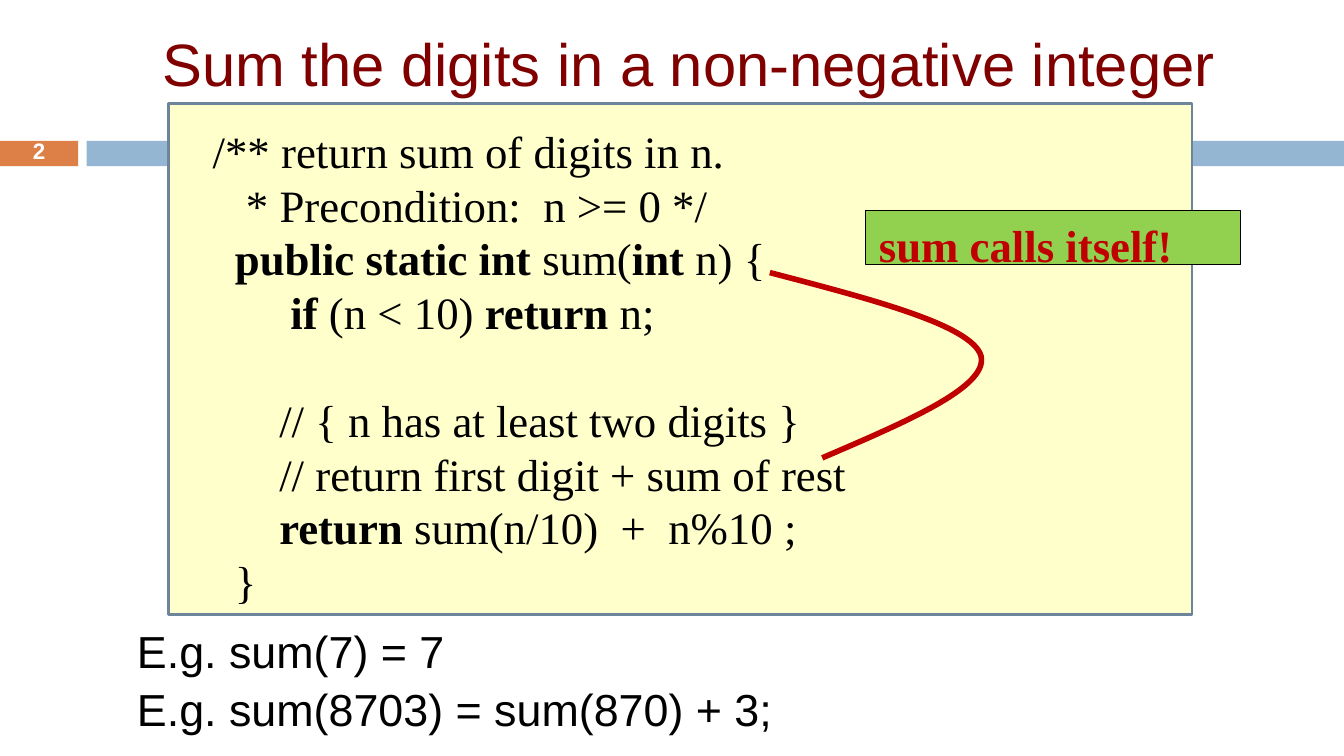
from lxml import etree
from pptx import Presentation
from pptx.dml.color import RGBColor
from pptx.enum.shapes import MSO_SHAPE
from pptx.enum.text import MSO_ANCHOR, PP_ALIGN
from pptx.oxml.ns import qn
from pptx.util import Cm, Pt

RECT = MSO_SHAPE.RECTANGLE
TOP, MID = MSO_ANCHOR.TOP, MSO_ANCHOR.MIDDLE
LEFT, MIDDLE = PP_ALIGN.LEFT, PP_ALIGN.CENTER
SANS, SERIF = "Arial", "Times New Roman"
SPACE = 0.21
LINE = 28.8

CODE = [
    (1, 0, "/** return sum of digits in n."),
    (4, 0, "* Precondition:  n >= 0 */"),
    (3, 0, "|public static int| sum(|int| n) {"),
    (8, 0, "|if| (n < 10) |return| n;"),
    (7, 1, "// { n has at least two digits }"),
    (7, 0, "// return first digit + sum of rest"),
    (7, 0, "|return| sum(n/10)  +  n%10 ;"),
    (3, 0, "}"),
]
CURVE = [(1.91, 0.5), (3.81, 0.99), (3.99, 1.57),
         (4.14, 2.16), (2.57, 2.82), (0.99, 3.5)]


def color(code):
    return RGBColor.from_string(code)


def stroke(shape, code, width):
    shape.line.color.rgb = color(code)
    shape.line.width = Pt(width)


def rect(shapes, x, y, w, h, fill, line=None, width=1):
    shape = shapes.add_shape(RECT, Cm(x), Cm(y), Cm(w), Cm(h))
    shape.shadow.inherit = False
    shape.fill.solid()
    shape.fill.fore_color.rgb = color(fill)
    if line:
        stroke(shape, line, width)
    else:
        shape.line.fill.background()
    return shape


def box(shapes, x, y, w, h):
    return shapes.add_textbox(Cm(x), Cm(y), Cm(w), Cm(h))


def write(shape, rows, size=24, font=SANS, ink="000000", bold=False,
          align=LEFT, anchor=TOP, pitch=None):
    frame = shape.text_frame
    frame.word_wrap = True
    frame.vertical_anchor = anchor
    if isinstance(rows, str):
        rows = [(0, 0, rows)]
    for n, (indent, skip, text) in enumerate(rows):
        para = frame.add_paragraph() if n else frame.paragraphs[0]
        para.alignment = align
        para.space_before = Pt(skip * LINE)
        if pitch:
            para.line_spacing = pitch
        if indent:
            para._p.get_or_add_pPr().set("marL", str(Cm(indent * SPACE)))
        for k, part in enumerate(text.split("|")):
            if part:
                run = para.add_run()
                run.text = part
                run.font.size = Pt(size)
                run.font.name = font
                run.font.bold = bold or k % 2 == 1
                run.font.color.rgb = color(ink)


def band(shapes, x, y, w, h):
    tab, gap = 1.48, 0.16
    rect(shapes, x, y, tab, h, "DD8047")
    rect(shapes, x + tab + gap, y, w - tab - gap, h, "94B6D2")
    write(box(shapes, x, y - 0.02, tab, h + 0.03), "2", size=12, ink="FFFFFF",
          bold=True, align=MIDDLE, anchor=MID, pitch=0.8)


def title(shapes, x, y, w, h):
    write(box(shapes, x, y, w, h), "Sum the digits in a non-negative integer",
          size=32, ink="800000", align=MIDDLE, anchor=MID)


def code(shapes, x, y, w, h):
    rect(shapes, x, y, w, h, "FFFFCC", "6C859A", 1.5)
    write(box(shapes, x + 0.38, y + 0.25, w - 1.77, h - 0.25), CODE, font=SERIF)


def curve(shapes, x, y):
    pen = shapes.build_freeform(Cm(x), Cm(y))
    pen.add_line_segments([(Cm(x + a), Cm(y + b)) for a, b in CURVE], close=False)
    shape = pen.convert_to_shape()
    shape.shadow.inherit = False
    shape.fill.background()
    stroke(shape, "C00000", 3)
    route = next(shape._element.iter(qn("a:path")))
    legs = route.findall(qn("a:lnTo"))
    for n in range(0, len(legs), 3):
        bend = etree.SubElement(route, qn("a:cubicBezTo"))
        for leg in legs[n:n + 3]:
            bend.append(leg[0])
            route.remove(leg)


def callout(shapes, x, y, w, h):
    group = shapes.add_group_shape().shapes
    curve(group, x - 1.81, y + 1.17)
    write(rect(group, x, y, w, h, "92D050", "000000", 0.75),
          "sum calls itself!", font=SERIF, ink="C00000", bold=True)


def cases(shapes, x, y, w, h):
    texts = ["E.g. sum(7) = 7", "E.g. sum(8703) = sum(870) + 3;"]
    for n, text in enumerate(texts):
        write(box(shapes, x, y + n * h / 2, w, h / 2), text)


def main():
    deck = Presentation()
    deck.slide_width, deck.slide_height = Cm(25.4), Cm(14.28)
    shapes = deck.slides.add_slide(deck.slide_layouts[6]).shapes
    band(shapes, 0, 2.66, 25.4, 0.48)
    code(shapes, 3.18, 1.96, 19.35, 9.65)
    title(shapes, 1.7, 0.48, 22.66, 1.42)
    callout(shapes, 16.36, 3.98, 7.09, 1.02)
    cases(shapes, 2.34, 11.66, 22.66, 2.2)
    deck.save("out.pptx")


main()
